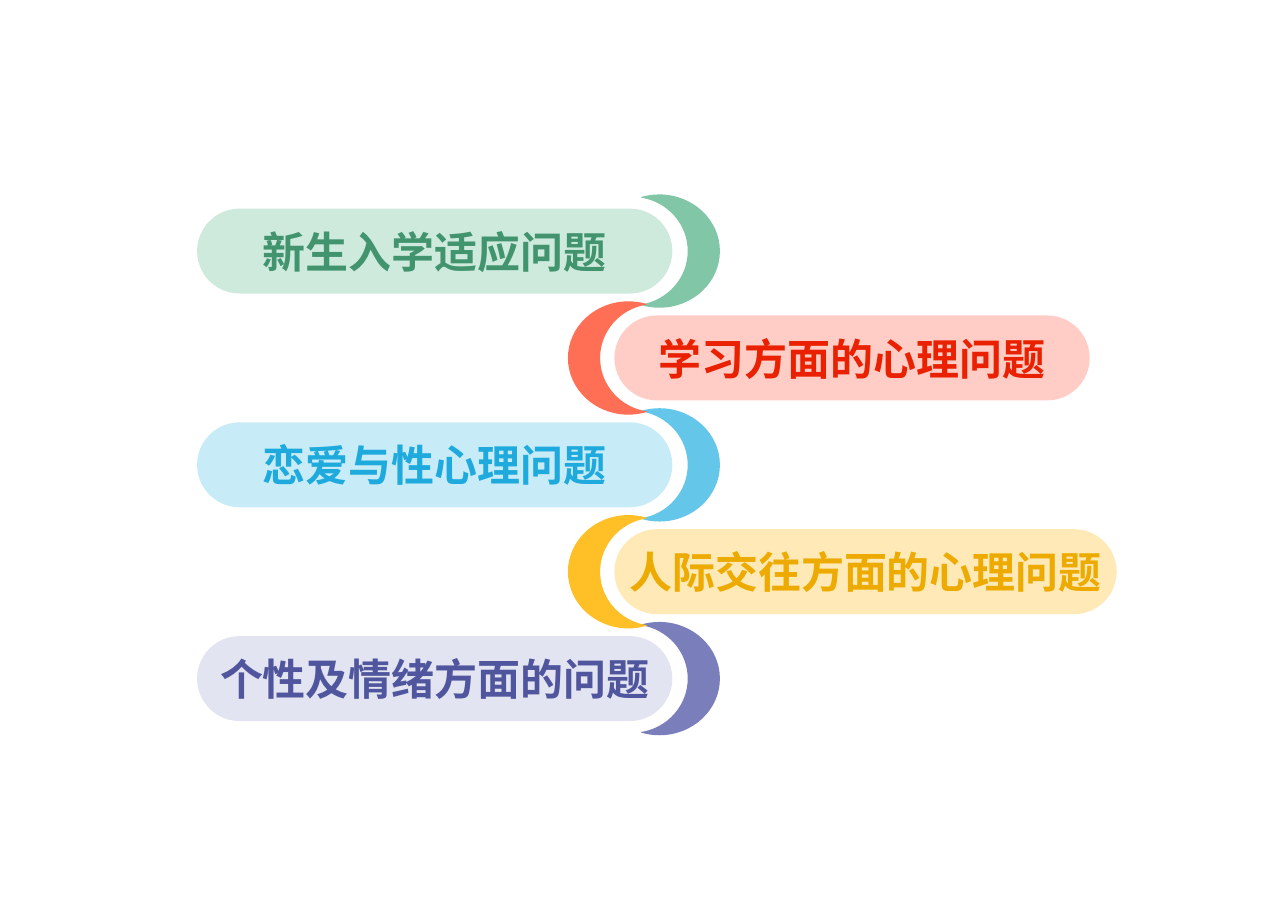
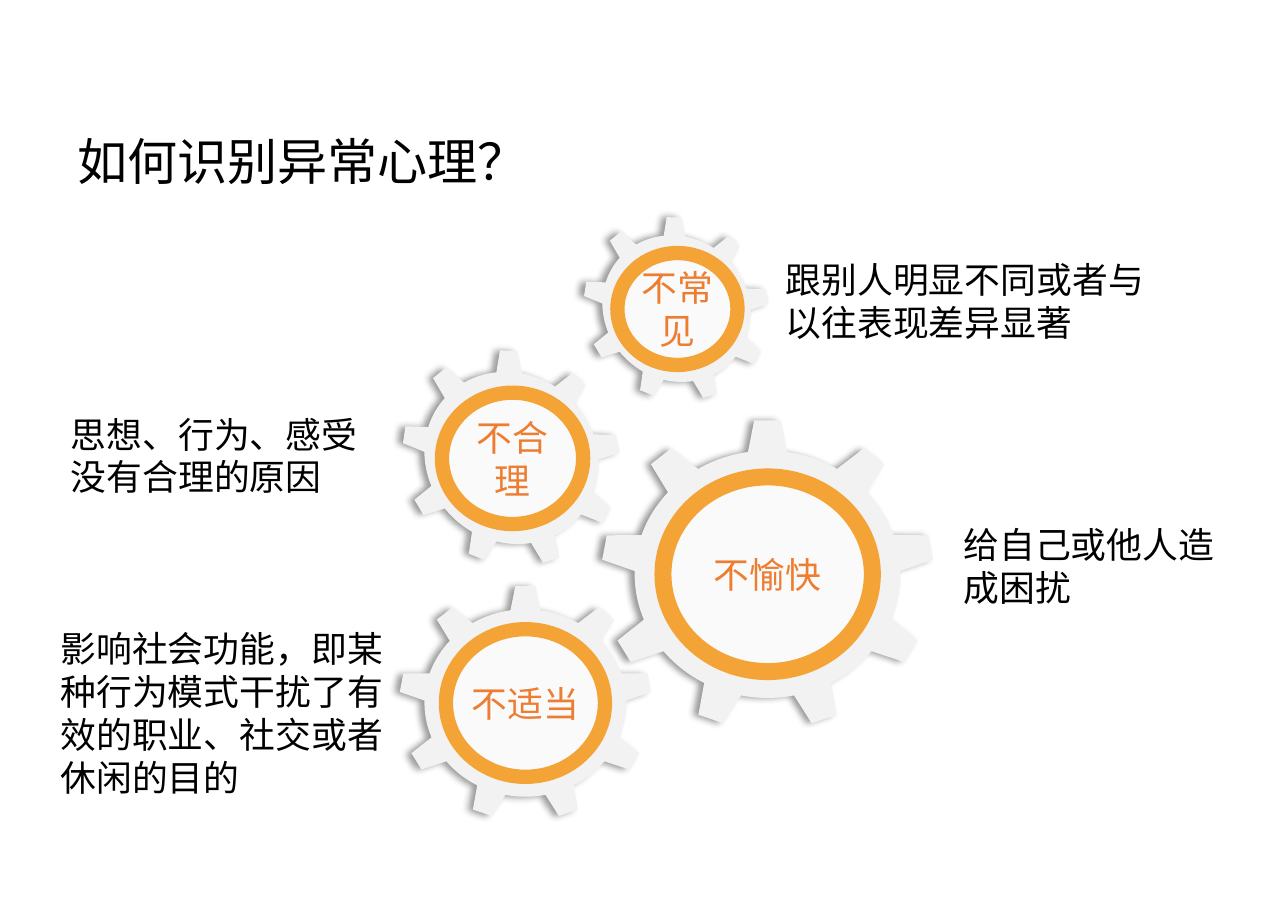
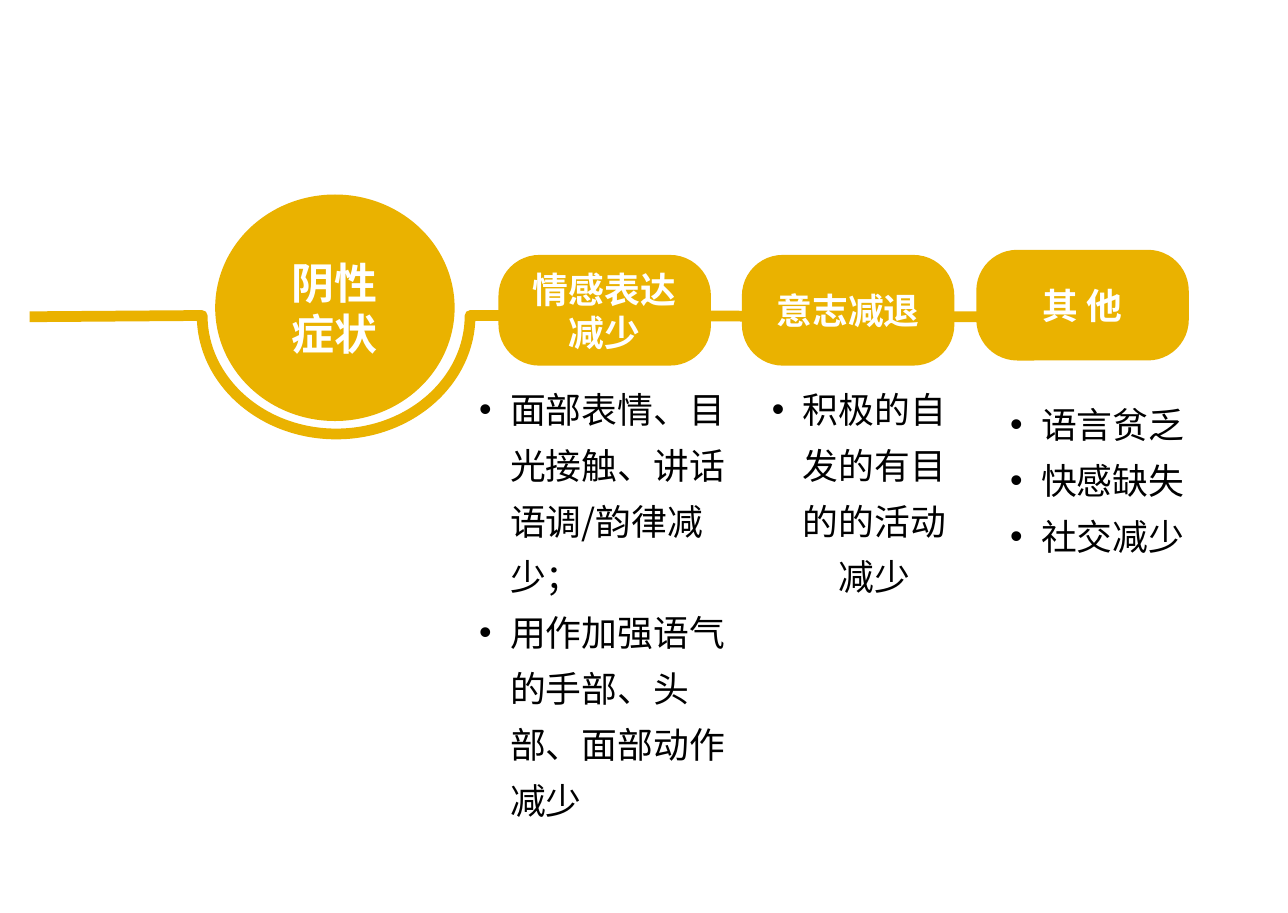
from math import cos, radians, sin, tan

from lxml.etree import SubElement
from pptx import Presentation
from pptx.dml.color import RGBColor
from pptx.enum.shapes import MSO_SHAPE
from pptx.enum.text import MSO_ANCHOR, MSO_AUTO_SIZE, PP_ALIGN
from pptx.oxml.ns import qn
from pptx.oxml.xmlchemy import OxmlElement
from pptx.util import Emu, Pt

EMU_PER_PX = 9144
FONT = "Noto Sans CJK SC"
GEAR_FONT = "Quicksand"
COLORS = {
    "black": "000000",
    "white": "FFFFFF",
    "gear": "F2F2F2",
    "disc": "FAFAFA",
    "ring": "F4A436",
    "gear_text": "ED7D31",
    "gold": "EAB200",
    "green": "81C7A7",
    "green_pale": "CEEADD",
    "green_text": "42946F",
    "red": "FF6F56",
    "red_pale": "FFCDC5",
    "red_text": "EA2100",
    "blue": "64C7EA",
    "blue_pale": "C8EBF8",
    "blue_text": "1EAADC",
    "amber": "FEC026",
    "amber_pale": "FFEAB7",
    "amber_text": "EDAA01",
    "violet": "7A7FBC",
    "violet_pale": "E3E4F1",
    "violet_text": "50569E",
}
LEFT_PROBLEMS = [
    ("新生入学适应问题", "green", 369),
    ("恋爱与性心理问题", "blue", 369),
    ("个性及情绪方面的问题", "violet", 369),
]
RIGHT_PROBLEMS = [
    ("学习方面的心理问题", "red", 369),
    ("人际交往方面的心理问题", "amber", 390),
]
GEARS = [
    ("不愉快", (596, 446), (129, 120), 0, 9.5),
    ("不适当", (408, 546), (98, 91), 0, 8),
    ("不合理", (398, 356), (87, 81), 40.5, 8),
    ("不常见", (526, 240), (74, 69), 40.5, 8),
]
EXPLANATIONS = [
    ("影响社会功能，即某种行为模式干扰了有效的职业、社交或者休闲的目的", 47, 495, 273),
    ("给自己或他人造成困扰", 748, 381, 221),
    ("思想、行为、感受没有合理的原因", 55, 295, 250),
    ("跟别人明显不同或者与以往表现差异显著", 610, 175, 280),
]
SYMPTOM_HEADINGS = [
    (["情感表达", "减少"], 387, 198),
    (["意志减退"], 576, 198),
    (["其 他"], 758, 194),
]
SYMPTOM_LISTS = [
    (2, ["面部表情、目光接触、讲话语调/韵律减少；", "用作加强语气的手部、头部、面部动作减少"],
     (372, 291, 195, 270), PP_ALIGN.LEFT),
    (4, ["积极的自发的有目的的活动减少"], (588, 291, 158, 270), PP_ALIGN.CENTER),
    (3, ["语言贫乏", "快感缺失", "社交减少"], (773, 303, 158, 270), PP_ALIGN.CENTER),
]


def px(value):
    return Emu(round(value * EMU_PER_PX))


def color(name):
    return RGBColor.from_string(COLORS[name])


def place(shape, box):
    shape.left, shape.top, shape.width, shape.height = map(px, box)


def style(shape, fill=None, line=None, line_width=0):
    shape.shadow.inherit = False
    if fill:
        shape.fill.solid()
        shape.fill.fore_color.rgb = color(fill)
    else:
        shape.fill.background()
    if line:
        shape.line.color.rgb = color(line)
        shape.line.width = Pt(line_width)
    else:
        shape.line.fill.background()


def add_bullet(paragraph):
    properties = paragraph._p.get_or_add_pPr()
    properties.set("marL", str(px(24)))
    properties.set("indent", str(px(-24)))
    properties.set("hangingPunct", "0")
    SubElement(properties, qn("a:buChar"), char="•")
    paragraph.line_spacing = 1.3
    paragraph.space_before = Pt(0)


def write(shape, lines, size, color_name, bold=False, align=PP_ALIGN.CENTER,
          anchor=MSO_ANCHOR.MIDDLE, font=FONT, side_margin=0, bullets=False):
    frame = shape.text_frame
    frame.word_wrap = True
    frame.auto_size = MSO_AUTO_SIZE.NONE
    frame.vertical_anchor = anchor
    frame.margin_left = frame.margin_right = px(side_margin)
    frame.margin_top = frame.margin_bottom = 0
    frame.text = "\n".join(lines)
    for paragraph in frame.paragraphs:
        if bullets:
            add_bullet(paragraph)
        paragraph.alignment = align
        paragraph.font.size = Pt(size)
        paragraph.font.bold = bold
        paragraph.font.color.rgb = color(color_name)
        paragraph.font.name = font
        SubElement(paragraph._p.pPr.find(qn("a:defRPr")), qn("a:ea"), typeface=font)


def on_ellipse(center, radii, angle, pull=0):
    across, down = cos(radians(angle)), sin(radians(angle))
    return (center[0] + radii[0] * (across - pull * down),
            center[1] + radii[1] * (down + pull * across))


def arc(center, radii, *angles):
    segments = [[on_ellipse(center, radii, angles[0])]]
    for start, end in zip(angles, angles[1:]):
        pull = 4 / 3 * tan(radians(end - start) / 4)
        segments.append([on_ellipse(center, radii, start, pull),
                         on_ellipse(center, radii, end, -pull),
                         on_ellipse(center, radii, end)])
    return segments


def add_outline(slide, segments, closed=True):
    corners = [(px(x), px(y)) for segment in segments for x, y in segment]
    builder = slide.shapes.build_freeform(*corners[0])
    builder.add_line_segments(corners[1:], close=closed)
    outline = builder.convert_to_shape()
    steps = iter(list(outline._element.iter(qn("a:lnTo"))))
    for segment in segments[1:]:
        members = [next(steps) for _ in segment]
        if len(members) == 3:
            curve = OxmlElement("a:cubicBezTo")
            members[0].addprevious(curve)
            for member in members:
                curve.append(member[0])
                member.getparent().remove(member)
    return outline


def add_pill(slide, box, fill, roundness):
    pill = slide.shapes.add_shape(MSO_SHAPE.ROUNDED_RECTANGLE, *map(px, box))
    pill.adjustments[0] = roundness
    style(pill, fill)
    return pill


def add_disc(slide, center, radii, fill, line, line_width):
    box = (center[0] - radii[0], center[1] - radii[1], 2 * radii[0], 2 * radii[1])
    disc = slide.shapes.add_shape(MSO_SHAPE.OVAL, *map(px, box))
    style(disc, fill, line, line_width)
    return disc


def add_crescent(slide, middle, side, fill):
    outer = arc((500 + 12 * side, middle), (47 * side, 44), -107, -90, 0, 90, 107)
    inner = arc((500 - 9 * side, middle), (43 * side, 42), 81, 0, -81)
    style(add_outline(slide, outer + inner), fill)


def add_soft_shadow(shape):
    effects = shape._element.spPr.find(qn("a:effectLst"))
    shadow = SubElement(effects, qn("a:outerShdw"), blurRad=str(Pt(4)), dist=str(Pt(3)),
                        dir="10800000", algn="r", rotWithShape="0")
    shade = SubElement(shadow, qn("a:srgbClr"), val=COLORS["black"])
    SubElement(shade, qn("a:alpha"), val="40000")


def add_gear(slide, label, center, radii, rotation, ring_width):
    body_radii = [radius * 0.8 for radius in radii]
    segments = []
    for tooth in range(-90, 270, 40):
        segments += [[on_ellipse(center, radii, tooth + tip)] for tip in (-4.6, 4.6)]
        segments += arc(center, body_radii, tooth + 8.5, tooth + 31.5)
    gear = add_outline(slide, segments)
    gear.rotation = rotation
    style(gear, "gear")
    add_soft_shadow(gear)
    disc_radii = [radius * 0.63 for radius in radii]
    disc = add_disc(slide, center, disc_radii, "disc", "ring", ring_width)
    write(disc, [label], 20, "gear_text", font=GEAR_FONT)


def add_problems(slide, problems, first_middle, side, left):
    for row, (label, hue, width) in enumerate(problems):
        middle = first_middle + 166 * row
        add_crescent(slide, middle, side, hue)
        pill = add_pill(slide, (left, middle - 33, width, 66), hue + "_pale", 0.5)
        write(pill, [label], 24, hue + "_text", bold=True)


def build_problems(presentation):
    slide = presentation.slides.add_slide(presentation.slide_layouts[6])
    add_problems(slide, LEFT_PROBLEMS, 195, 1, 153)
    add_problems(slide, RIGHT_PROBLEMS, 278, -1, 477)


def build_recognition(presentation):
    slide = presentation.slides.add_slide(presentation.slide_layouts[5])
    title = slide.shapes.title
    place(title, (50, 75, 900, 99))
    write(title, ["如何识别异常心理？"], 28, "black", align=PP_ALIGN.LEFT, side_margin=10)
    for gear in GEARS:
        add_gear(slide, *gear)
    for text, left, top, width in EXPLANATIONS:
        box = slide.shapes.add_textbox(*map(px, (left, top, width, 117)))
        write(box, [text], 20, "black", align=PP_ALIGN.LEFT)


def build_symptoms(presentation):
    slide = presentation.slides.add_slide(presentation.slide_layouts[4])
    for unused in (slide.shapes.title, slide.placeholders[1]):
        unused.element.getparent().remove(unused.element)
    bowl = arc((261, 245), (104, 92), 0, 90, 180)
    track = add_outline(slide, [[(781, 246)], *bowl, [(23, 246)]], closed=False)
    style(track, line="gold", line_width=6)
    disc = add_disc(slide, (260, 239), (86, 81), "gold", "gold", 10)
    write(disc, ["阴性", "症状"], 24, "white", bold=True)
    for lines, left, top in SYMPTOM_HEADINGS:
        pill = add_pill(slide, (left, top, 165, 86), "gold", 0.37)
        write(pill, lines, 20, "white", bold=True)
    for index, lines, box, align in SYMPTOM_LISTS:
        body = slide.placeholders[index]
        place(body, box)
        write(body, lines, 20, "black", align=align, anchor=MSO_ANCHOR.TOP, bullets=True)


def main():
    presentation = Presentation()
    presentation.slide_width, presentation.slide_height = px(1000), px(709)
    build_problems(presentation)
    build_recognition(presentation)
    build_symptoms(presentation)
    presentation.save("out.pptx")


if __name__ == "__main__":
    main()
